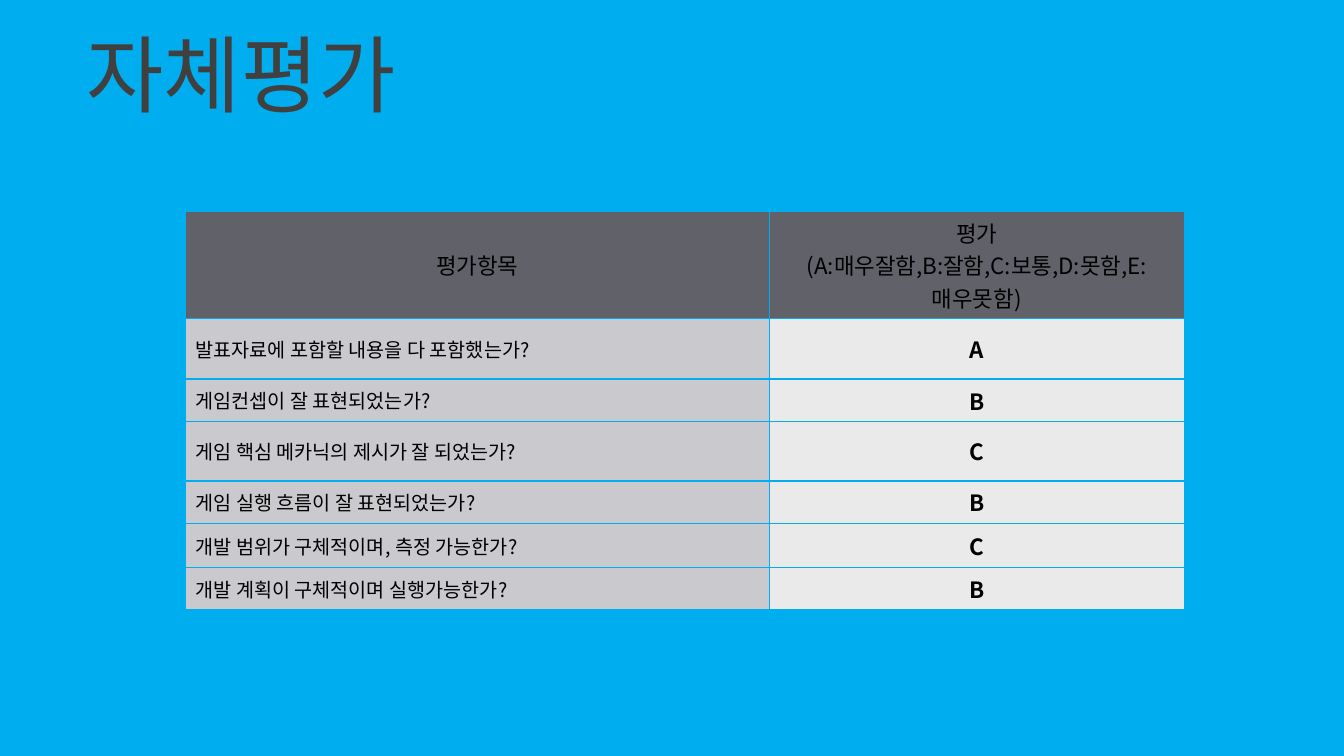
from lxml import etree
from pptx import Presentation
from pptx.dml.color import RGBColor
from pptx.enum.text import MSO_ANCHOR, MSO_AUTO_SIZE, PP_ALIGN
from pptx.oxml.ns import qn
from pptx.util import Pt

LEFT, CENTER = PP_ALIGN.LEFT, PP_ALIGN.CENTER
MIDDLE = MSO_ANCHOR.MIDDLE
NO_FIT = MSO_AUTO_SIZE.NONE
FONT = "Noto Sans CJK KR"
COLORS = {
    "sky": "00AEEF",
    "title": "404040",
    "text": "000000",
    "header": "616169",
    "item": "CACACE",
    "grade": "EAEAEB",
}

TITLE = "자체평가"
HEADER = ("평가항목", "평가\n(A:매우잘함,B:잘함,C:보통,D:못함,E:매우못함)")
RATINGS = [
    ("발표자료에 포함할 내용을 다 포함했는가?", "A"),
    ("게임컨셉이 잘 표현되었는가?", "B"),
    ("게임 핵심 메카닉의 제시가 잘 되었는가?", "C"),
    ("게임 실행 흐름이 잘 표현되었는가?", "B"),
    ("개발 범위가 구체적이며, 측정 가능한가?", "C"),
    ("개발 계획이 구체적이며 실행가능한가?", "B"),
]
COL_WIDTHS = (416.9, 296.6)
ROW_HEIGHTS = (59, 43.2, 30.2, 42.5, 30.2, 31.7, 30.2)


def rgb(name):
    return RGBColor.from_string(COLORS[name])


def format_text(tf, size, color, align, bold=False):
    for p in tf.paragraphs:
        p.alignment = align
        for r in p.runs:
            r.font.size = Pt(size)
            r.font.bold = bold
            r.font.name = FONT
            r.font.color.rgb = rgb(color)
            ea = etree.SubElement(r._r.get_or_add_rPr(), qn("a:ea"))
            ea.set("typeface", FONT)


def add_borders(cell, color):
    tcPr = cell._tc.get_or_add_tcPr()
    for i, side in enumerate(("lnL", "lnR", "lnT", "lnB")):
        ln = etree.Element(qn(f"a:{side}"), w=str(Pt(1)))
        fill = etree.SubElement(ln, qn("a:solidFill"))
        etree.SubElement(fill, qn("a:srgbClr"), val=COLORS[color])
        tcPr.insert(i, ln)


def fill_cell(cell, text, fill, size, align, bold=False):
    cell.text_frame.text = text
    cell.vertical_anchor = MIDDLE
    cell.fill.solid()
    cell.fill.fore_color.rgb = rgb(fill)
    format_text(cell.text_frame, size, "text", align, bold)
    add_borders(cell, "sky")


prs = Presentation()
prs.slide_width, prs.slide_height = Pt(960), Pt(540)
s = prs.slides.add_slide(prs.slide_layouts[5])
s.background.fill.solid()
s.background.fill.fore_color.rgb = rgb("sky")

title = s.shapes.title
title.left, title.top, title.width, title.height = Pt(54.7), Pt(12.2), Pt(247), Pt(80)
tf = title.text_frame
tf.text = TITLE
tf.auto_size = NO_FIT
tf.word_wrap = False
tf.vertical_anchor = MIDDLE
format_text(tf, 60, "title", LEFT)

table = s.shapes.add_table(
    len(ROW_HEIGHTS), len(COL_WIDTHS),
    Pt(132.5), Pt(151.2), Pt(sum(COL_WIDTHS)), Pt(sum(ROW_HEIGHTS)),
).table
for col, width in zip(table.columns, COL_WIDTHS):
    col.width = Pt(width)
for row, height in zip(table.rows, ROW_HEIGHTS):
    row.height = Pt(height)

for c, text in enumerate(HEADER):
    fill_cell(table.cell(0, c), text, "header", 16, CENTER)
for i, (item, grade) in enumerate(RATINGS, 1):
    fill_cell(table.cell(i, 0), item, "item", 14, LEFT)
    fill_cell(table.cell(i, 1), grade, "grade", 16, CENTER, True)

prs.save("out.pptx")
